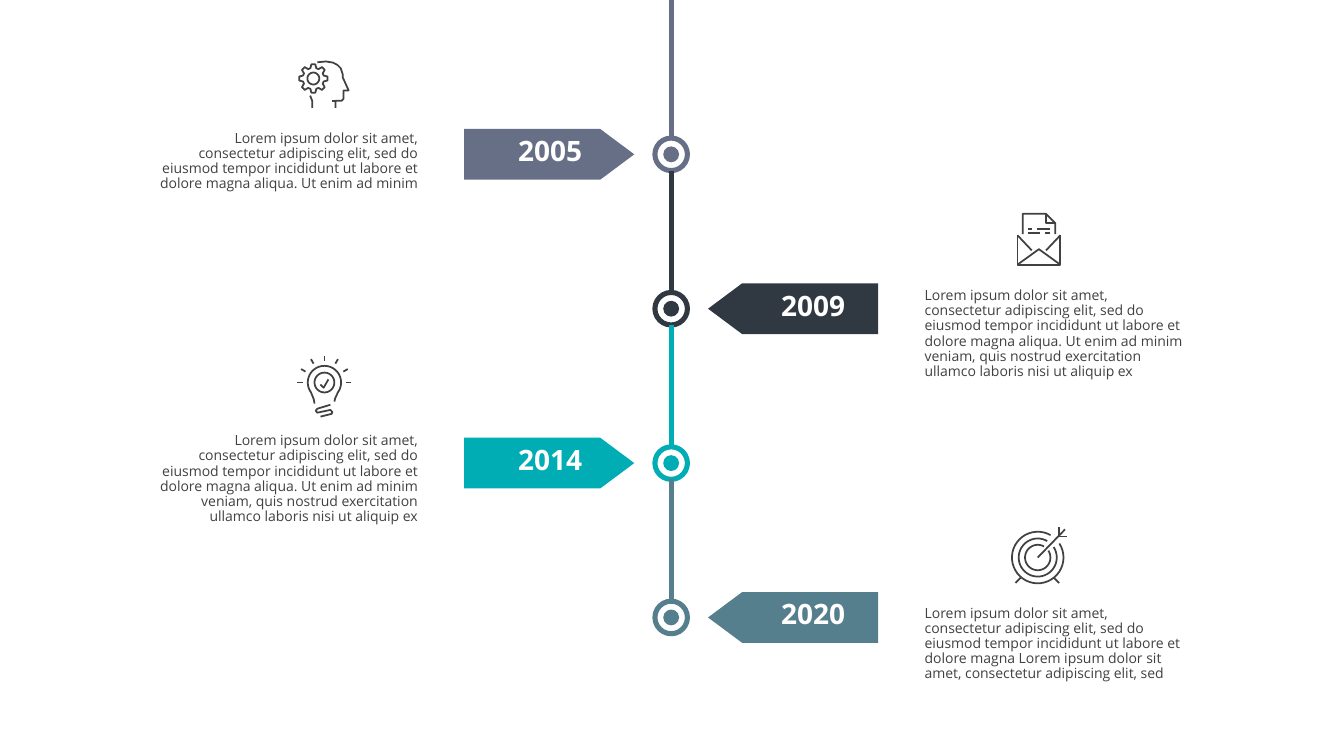
from collections import namedtuple
from math import cos, radians, sin

from pptx import Presentation
from pptx.dml.color import RGBColor
from pptx.enum.shapes import MSO_SHAPE as Preset
from pptx.enum.text import PP_ALIGN as Align
from pptx.util import Cm, Pt

FONT = "Open Sans"
INK = "414042"
AXIS = 16.92
NODE_STEP = 3.89
RING_SIZE = 0.82
DOT_SIZE = 0.4
TAG_HEIGHT = 1.28
TEXT_WIDTH = 7.04
TEXT_GAP = 6.14
LEFT, RIGHT = -1, 1

OPENING = ("Lorem ipsum dolor sit amet, consectetur adipiscing elit, sed do "
           "eiusmod tempor incididunt ut labore et dolore magna ")
SHORT = OPENING + "aliqua. Ut enim ad minim"
LONG = SHORT + " veniam, quis nostrud exercitation ullamco laboris nisi ut aliquip ex"
REPEATED = OPENING + "Lorem ipsum dolor sit amet, consectetur adipiscing elit, sed"

Milestone = namedtuple(
    "Milestone", "year side color text text_top text_height icon icon_x icon_y")


def color(value):
    return RGBColor.from_string(value)


def polar(radius, angle):
    return radius * cos(radians(angle)), radius * sin(radians(angle))


def arc(radius, start=0, end=360):
    steps = 40
    return [polar(radius, start + (end - start) * step / steps)
            for step in range(steps + 1)]


def head_icon():
    gear = [polar(radius, tooth * 45 + turn) for tooth in range(8)
            for radius, turn in ((0.27, -16), (0.36, -8), (0.36, 8), (0.27, 16))]
    return [
        gear + gear[:1],
        arc(0.15),
        [(0.1, -0.41), (0.32, -0.43), (0.5, -0.4), (0.61, -0.34), (0.69, -0.26),
         (0.74, -0.11), (0.74, -0.03), (0.89, 0.3), (0.76, 0.3), (0.76, 0.51),
         (0.71, 0.56), (0.56, 0.56), (0.56, 0.74)],
        [(0.56, 0.56), (0.48, 0.56)],
        [(-0.03, 0.74), (-0.03, 0.56), (-0.08, 0.43)],
    ]


def letter_icon():
    return [
        [(0.54, -0.1), (0.54, 0.64), (-0.54, 0.64), (-0.54, -0.1)],
        [(0.54, 0.64), (0, 0.25), (-0.54, 0.64)],
        [(0.54, -0.1), (0.18, 0.28)],
        [(-0.54, -0.1), (-0.18, 0.28)],
        [(0.41, -0.13), (0.41, -0.41), (0.18, -0.64), (-0.41, -0.64), (-0.41, -0.13)],
        [(0.18, -0.64), (0.18, -0.41), (0.41, -0.41)],
        [(-0.18, -0.25), (-0.28, -0.25)],
        [(0.28, -0.25), (-0.05, -0.25)],
        [(-0.28, -0.15), (0.03, -0.15)],
        [(0.28, -0.15), (0.15, -0.15)],
    ]


def bulb_icon():
    rays = [[polar(0.55, angle), polar(0.68, angle)] for angle in range(180, 361, 30)]
    glass = [(-0.25, 0.53), (-0.27, 0.42)] + arc(0.42, 144, 396) + [(0.27, 0.4), (0.25, 0.48)]
    return rays + [
        glass,
        arc(0.25),
        [(-0.1, 0.05), (-0.02, 0.13), (0.1, -0.08)],
        [(0.15, 0.56), (-0.18, 0.66), (-0.22, 0.71), (-0.18, 0.76), (0.15, 0.69),
         (0.2, 0.74), (0.18, 0.79), (-0.1, 0.86)],
    ]


def target_icon():
    return [arc(radius, -33, 300) for radius in (0.65, 0.48, 0.32)] + [
        [(0, 0), (0.69, -0.71)],
        [(0.53, -0.76), (0.53, -0.53), (0.74, -0.53)],
        [(-0.56, 0.64), (-0.43, 0.51)],
        [(0.41, 0.51), (0.54, 0.64)],
    ]


def add_outline(slide, strokes, x, y, closed=False):
    placed = [[(Cm(x + dx), Cm(y + dy)) for dx, dy in stroke] for stroke in strokes]
    builder = slide.shapes.build_freeform(*placed[0][0])
    for index, stroke in enumerate(placed):
        if index:
            builder.move_to(*stroke[0])
        builder.add_line_segments(stroke[1:], close=closed)
    shape = builder.convert_to_shape()
    shape.shadow.inherit = False
    return shape


def set_line(shape, value, width):
    shape.line.color.rgb = color(value)
    shape.line.width = Pt(width)


def set_fill(shape, value):
    shape.fill.solid()
    shape.fill.fore_color.rgb = color(value)
    shape.line.fill.background()


def add_icon(slide, strokes, x, y):
    shape = add_outline(slide, strokes, x, y)
    shape.fill.background()
    set_line(shape, INK, 1.25)


def add_segment(slide, top, bottom, value):
    connector = slide.shapes.add_connector(1, Cm(AXIS), Cm(top), Cm(AXIS), Cm(bottom))
    set_line(connector, value, 3.63)
    properties = connector.line._get_or_add_ln().getparent()
    properties.append(properties.makeelement(
        "{http://schemas.openxmlformats.org/drawingml/2006/main}effectLst", {}))


def add_circle(slide, y, size):
    shape = slide.shapes.add_shape(
        Preset.OVAL, Cm(AXIS - size / 2), Cm(y - size / 2), Cm(size), Cm(size))
    shape.shadow.inherit = False
    return shape


def add_node(slide, y, value):
    set_fill(add_circle(slide, y, DOT_SIZE), value)
    ring = add_circle(slide, y, RING_SIZE)
    ring.fill.background()
    set_line(ring, value, 3.63)


def add_text(slide, text, box, size, value, align, bold=False, margins=(0, 0), wrap=True):
    frame = slide.shapes.add_textbox(*map(Cm, box)).text_frame
    frame.word_wrap = wrap
    frame.margin_left = frame.margin_right = Cm(margins[0])
    frame.margin_top = frame.margin_bottom = Cm(margins[1])
    paragraph = frame.paragraphs[0]
    paragraph.alignment = align
    paragraph.line_spacing = 0.9
    run = paragraph.add_run()
    run.text = text
    run.font.name = FONT
    run.font.size = Pt(size)
    run.font.bold = bold
    run.font.color.rgb = color(value)


def add_tag(slide, milestone, y):
    half = TAG_HEIGHT / 2
    points = [(1.79, -half), (0.93, 0), (1.79, half), (5.22, half), (5.22, -half)]
    outline = [(milestone.side * dx, dy) for dx, dy in points]
    set_fill(add_outline(slide, [outline], AXIS, y, closed=True), milestone.color)
    label_center = AXIS + (3.58 if milestone.side == RIGHT else -3.05)
    add_text(slide, milestone.year, (label_center - 0.81, y - 0.42, 1.62, 0.84),
             20, "FFFFFF", Align.CENTER, bold=True, wrap=False)


def add_description(slide, milestone):
    on_right = milestone.side == RIGHT
    left = AXIS + TEXT_GAP if on_right else AXIS - TEXT_GAP - TEXT_WIDTH
    box = (left, milestone.text_top, TEXT_WIDTH, milestone.text_height)
    add_text(slide, milestone.text, box, 10, INK,
             Align.LEFT if on_right else Align.RIGHT, margins=(0.25, 0.13))


def main():
    presentation = Presentation()
    presentation.slide_width = Cm(33.88)
    presentation.slide_height = Cm(19.05)
    slide = presentation.slides.add_slide(presentation.slide_layouts[6])
    milestones = [
        Milestone("2005", LEFT, "666F85", SHORT, 3.18, 1.96, head_icon(), 7.9, 1.98),
        Milestone("2009", RIGHT, "303841", LONG, 7.14, 2.8, letter_icon(), 26.19, 6.03),
        Milestone("2014", LEFT, "00ADB5", LONG, 10.8, 2.8, bulb_icon(), 8.18, 9.64),
        Milestone("2020", RIGHT, "557F8C", REPEATED, 15.14, 2.39, target_icon(), 26.16, 14.05),
    ]
    segment_top = 0
    for number, milestone in enumerate(milestones, start=1):
        y = number * NODE_STEP
        add_segment(slide, segment_top, y - RING_SIZE / 2, milestone.color)
        segment_top = y + RING_SIZE / 2
        add_node(slide, y, milestone.color)
        add_tag(slide, milestone, y)
        add_icon(slide, milestone.icon, milestone.icon_x, milestone.icon_y)
        add_description(slide, milestone)
    presentation.save("out.pptx")


if __name__ == "__main__":
    main()
